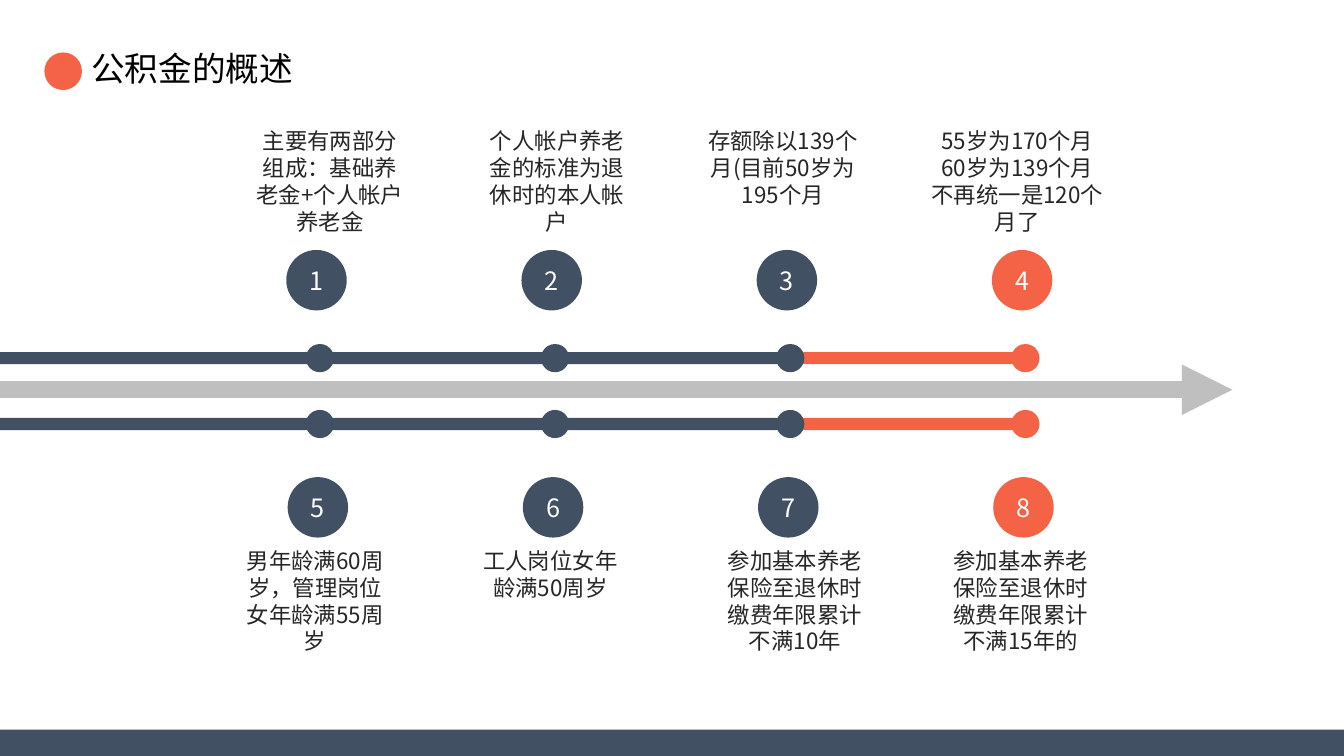
from lxml import etree
from pptx import Presentation
from pptx.dml.color import RGBColor
from pptx.enum.shapes import MSO_CONNECTOR, MSO_SHAPE
from pptx.enum.text import MSO_ANCHOR, MSO_AUTO_SIZE, PP_ALIGN
from pptx.oxml.ns import qn
from pptx.util import Inches, Pt

NAVY = RGBColor(0x41, 0x51, 0x63)
CORAL = RGBColor(0xF4, 0x63, 0x46)
GRAY = RGBColor(0xBF, 0xBF, 0xBF)
INK = RGBColor(0x26, 0x26, 0x26)
BLACK = RGBColor(0, 0, 0)
WHITE = RGBColor(0xFF, 0xFF, 0xFF)
STEP_COLORS = [NAVY, NAVY, NAVY, CORAL]

OVAL, RECTANGLE = MSO_SHAPE.OVAL, MSO_SHAPE.RECTANGLE
STRAIGHT = MSO_CONNECTOR.STRAIGHT
TOP, MIDDLE = MSO_ANCHOR.TOP, MSO_ANCHOR.MIDDLE
LEFT, CENTER = PP_ALIGN.LEFT, PP_ALIGN.CENTER
NO_AUTOFIT = MSO_AUTO_SIZE.NONE

HEADING_FONT, BODY_FONT = "Arial", "Noto Sans CJK SC"
CJK_FONT = "Noto Sans CJK SC"
STEP_GAP = 1.75

# Each note: left, width, height, text
UPPER_NOTES = [
    (1.8, 1.31, 0.91, "主要有两部分组成：基础养老金+个人帐户养老金"),
    (3.49, 1.31, 0.91, "个人帐户养老金的标准为退休时的本人帐户"),
    (5.17, 1.31, 0.71, "存额除以139个月(目前50岁为195个月"),
    (6.83, 1.48, 0.91, "55岁为170个月60岁为139个月不再统一是120个月了"),
]
LOWER_NOTES = [
    (1.69, 1.31, 0.91, "男年龄满60周岁，管理岗位女年龄满55周岁"),
    (3.44, 1.31, 0.5, "工人岗位女年龄满50周岁"),
    (5.26, 1.31, 0.91, "参加基本养老保险至退休时缴费年限累计不满10年"),
    (6.94, 1.31, 0.91, "参加基本养老保险至退休时缴费年限累计不满15年的"),
]


def add_filled(page, kind, left, top, width, height, color):
    shape = page.shapes.add_shape(
        kind, Inches(left), Inches(top), Inches(width), Inches(height))
    shape.shadow.inherit = False
    shape.fill.solid()
    shape.fill.fore_color.rgb = color
    shape.line.fill.background()
    return shape


def write(frame, text, size, color, font=BODY_FONT, align=CENTER):
    frame.text = text
    para = frame.paragraphs[0]
    para.alignment = align
    for span in para.runs:
        span.font.size = Pt(size)
        span.font.name = font
        span.font.color.rgb = color
        east_asian = etree.SubElement(span.font._element, qn("a:ea"))
        east_asian.set("typeface", CJK_FONT)


def add_heading(page, left, top, text):
    add_filled(page, OVAL, left, top + 0.08, 0.28, 0.28, CORAL)
    title = page.shapes.title
    title.left, title.top = Inches(left + 0.25), Inches(top)
    title.width, title.height = Inches(1.72), Inches(0.4)
    frame = title.text_frame
    frame.auto_size = NO_AUTOFIT
    frame.word_wrap = False
    frame.vertical_anchor = TOP
    write(frame, text, 18, BLACK, HEADING_FONT, LEFT)


def add_arrow(page, left, middle, width):
    arrow = page.shapes.add_connector(
        STRAIGHT, Inches(left), Inches(middle),
        Inches(left + width), Inches(middle))
    arrow.line.color.rgb = GRAY
    arrow.line.width = Pt(9)
    line = arrow.line._get_or_add_ln()
    etree.SubElement(line, qn("a:tailEnd")).set("type", "triangle")
    etree.SubElement(arrow._element.spPr, qn("a:effectLst"))


def add_rail(page, left, top, first_stop):
    """Draw a track of bars, each ending in a dot; earlier ones lie on top."""
    dot, bar = 0.21, 0.09
    stops = [left + first_stop + STEP_GAP * i for i in range(len(STEP_COLORS))]
    starts = [left] + stops[:-1]
    for start, stop, color in reversed(list(zip(starts, stops, STEP_COLORS))):
        add_filled(page, RECTANGLE, start, top + (dot - bar) / 2,
                   stop - start, bar, color)
        add_filled(page, OVAL, stop - dot / 2, top, dot, dot, color)


def add_numbers(page, left, top, first_number):
    for i, color in enumerate(STEP_COLORS):
        circle = add_filled(page, OVAL, left + STEP_GAP * i, top,
                            0.45, 0.45, color)
        frame = circle.text_frame
        frame.margin_left = frame.margin_right = Inches(0.07)
        frame.margin_top = frame.margin_bottom = Inches(0.04)
        frame.vertical_anchor = MIDDLE
        write(frame, str(first_number + i), 13.5, WHITE)


def add_notes(page, top, notes):
    for left, width, height, text in notes:
        box = page.shapes.add_textbox(
            Inches(left), Inches(top), Inches(width), Inches(height))
        box.text_frame.word_wrap = True
        write(box.text_frame, text, 12, INK)


def main():
    deck = Presentation()
    deck.slide_width = Inches(10)
    deck.slide_height = deck.slide_width * 9 // 16
    page = deck.slides.add_slide(deck.slide_layouts[5])

    add_heading(page, 0.33, 0.31, "公积金的概述")
    add_filled(page, RECTANGLE, 0, 5.43, 10, 0.2, NAVY)
    add_numbers(page, 2.13, 1.86, 1)
    add_numbers(page, 2.14, 3.55, 5)
    add_arrow(page, 0, 2.9, 9.17)
    for top in (2.56, 3.05):
        add_rail(page, 0, top, 2.38)
    add_notes(page, 0.9, UPPER_NOTES)
    add_notes(page, 4.02, LOWER_NOTES)

    deck.save("out.pptx")


if __name__ == "__main__":
    main()
